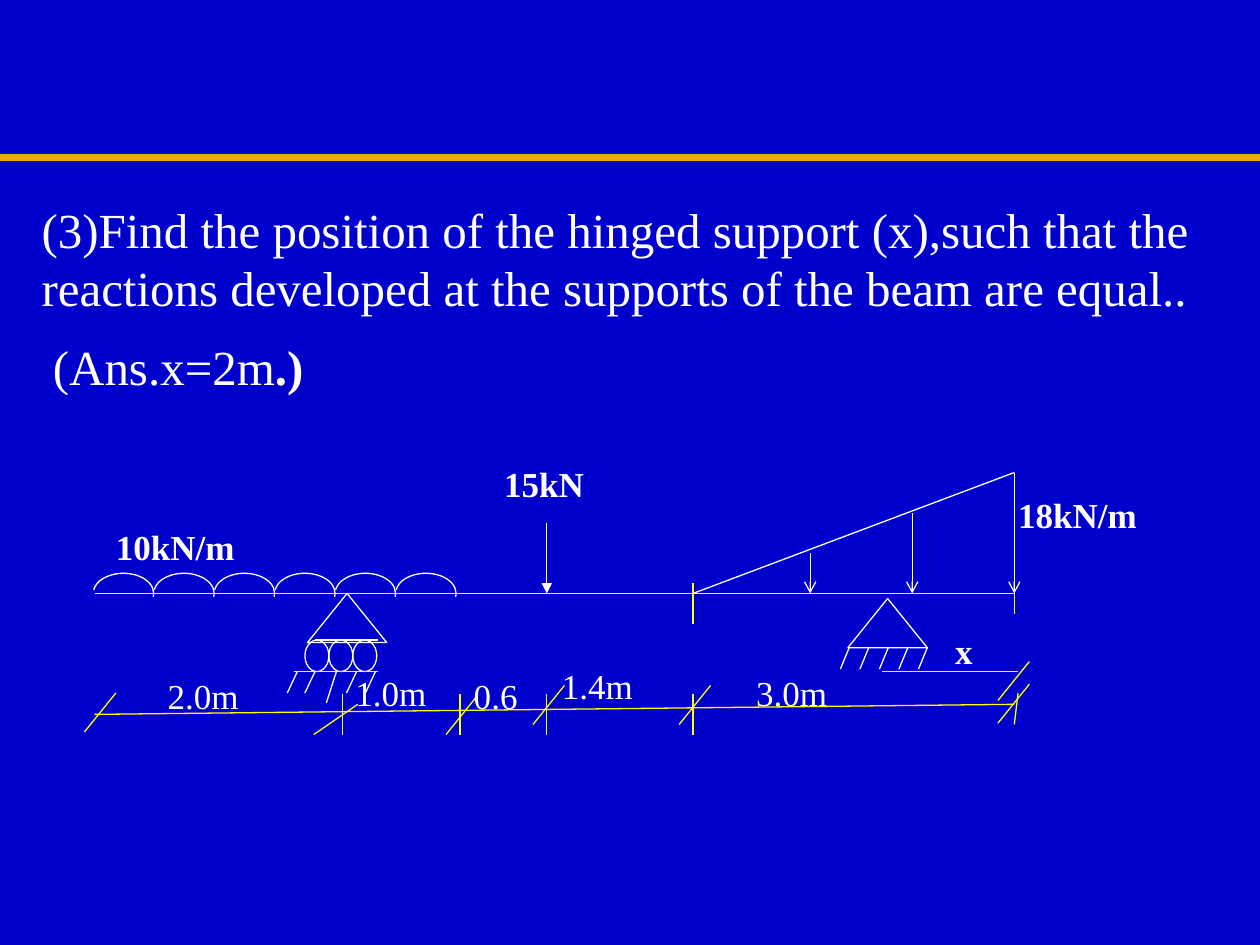
import pptx
import pptx.util
import pptx.dml.color
import pptx.enum.shapes
import pptx.enum.text
import pptx.oxml.ns
import lxml.etree

Inches, Pt = pptx.util.Inches, pptx.util.Pt
Shape = pptx.enum.shapes.MSO_SHAPE
THEME = {
    "font": "Times New Roman",
    "background": pptx.dml.color.RGBColor.from_string("0000CC"),
    "white": pptx.dml.color.RGBColor.from_string("FFFFFF"),
    "yellow": pptx.dml.color.RGBColor.from_string("FFFF00"),
    "gold": pptx.dml.color.RGBColor.from_string("E8AB00"),
    "statement": 28,
    "label": 20,
    "thin": 0.75,
    "rule": 4.5,
}

presentation = pptx.Presentation()
presentation.slide_width, presentation.slide_height = Inches(10), Inches(7.5)
slide = presentation.slides.add_slide(presentation.slide_layouts[5])  # Title Only
slide.background.fill.solid()
slide.background.fill.fore_color.rgb = THEME["background"]


def add_line(start, end, color="yellow", width="thin", arrow=None):
    line = slide.shapes.add_connector(
        pptx.enum.shapes.MSO_CONNECTOR.STRAIGHT, *map(Inches, start + end))
    line.line.color.rgb = THEME[color]
    line.line.width = Pt(THEME[width])
    properties = line.element.spPr
    if arrow:
        outline = properties.find(pptx.oxml.ns.qn("a:ln"))
        lxml.etree.SubElement(outline, pptx.oxml.ns.qn("a:tailEnd"), type=arrow)
    lxml.etree.SubElement(properties, pptx.oxml.ns.qn("a:effectLst"))


def write_text(shape, box, runs, size):
    shape.left, shape.top, shape.width, shape.height = map(Inches, box)
    frame_format = {
        "margin_left": 0, "margin_top": 0, "margin_right": 0, "margin_bottom": 0,
        "word_wrap": True,
        "auto_size": pptx.enum.text.MSO_AUTO_SIZE.NONE,
        "vertical_anchor": pptx.enum.text.MSO_ANCHOR.TOP,
    }
    for name, value in frame_format.items():
        setattr(shape.text_frame, name, value)
    paragraph = shape.text_frame.paragraphs[0]
    paragraph.alignment = pptx.enum.text.PP_ALIGN.LEFT
    paragraph.line_spacing = Pt(THEME[size] * 1.2)
    for text, bold in runs:
        run = paragraph.add_run()
        run.text = text
        run_format = {"name": THEME["font"], "size": Pt(THEME[size]), "bold": bold}
        for name, value in run_format.items():
            setattr(run.font, name, value)
        run.font.color.rgb = THEME["white"]


# Header rule, problem statement and answer
add_line((0, 1.25), (10.03, 1.25), "gold", "rule")
statement = ("(3)Find the position of the hinged support (x),such that the "
             "reactions developed at the supports of the beam are equal..")
write_text(slide.shapes.title, (0.33, 1.58, 9.17, 0.93), [(statement, False)], "statement")
answer = slide.shapes.add_textbox(0, 0, 0, 0)
write_text(answer, (0.42, 2.67, 2.58, 0.47), [("(Ans.x=2m", False), (".)", True)], "statement")

# Beam and its end marks
beam_left, beam_right, beam_y = 0.75, 8.05, 4.71
load_start, load_top = 5.5, 3.75
add_line((beam_left, beam_y), (beam_right, beam_y))
for x, top in ((load_start, 4.63), (beam_right, 4.55)):
    add_line((x, top), (x, top + 0.32))

# Outlined shapes: distributed load arcs, support triangles, rollers
arc_pitch, arc_height = 0.48, 0.32
outlines = [(Shape.ARC, (0.74 + i * arc_pitch, beam_y - arc_height / 2, 0.48, arc_height))
            for i in range(6)]
outlines += [(Shape.ISOSCELES_TRIANGLE, (x, y, 0.63, 0.39))
             for x, y in ((2.44, beam_y), (6.73, 4.75))]
outlines += [(Shape.OVAL, (2.42 + i * 0.19, 5.08, 0.19, 0.25)) for i in range(3)]
for kind, box in outlines:
    shape = slide.shapes.add_shape(kind, *map(Inches, box))
    shape.shadow.inherit = False
    shape.fill.background()
    shape.line.color.rgb = THEME["white"]
    shape.line.width = Pt(THEME["thin"])
    if kind == Shape.ARC:
        # Half an ellipse, tilted by 6.8 degrees; 0.6 adjustment units per degree
        shape.adjustments[0] = 186.8 * 0.6
        shape.adjustments[1] = 6.8 * 0.6

# Point load and triangular load
add_line((4.34, 4.15), (4.34, beam_y), "white", arrow="triangle")
add_line((beam_right, load_top), (load_start, beam_y), "white")
for x, top in ((6.43, 4.39), (7.24, 4.07), (beam_right, load_top)):
    add_line((x, top), (x, beam_y), "white", arrow="arrow")

# Roller base and ground hatching
add_line((2.5, 5.08), (3, 5.08), "white")
add_line((2.33, 5.33), (3, 5.33))
for x, length in ((2.36, 0.17), (2.5, 0.17), (2.67, 0.25), (2.83, 0.17), (2.98, 0.17)):
    add_line((x, 5.33), (x - 0.08, 5.33 + length), "white")
for i in range(5):
    x = 6.74 + i * 0.155
    add_line((x, 5.14), (x - 0.07, 5.31), "white")

# Dimension lines, ticks and slashes
add_line((beam_left, 5.67), (beam_right, 5.59))
add_line((7, 5.33), (8.08, 5.33))
for x in (2.72, 3.65, 4.34, load_start):
    add_line((x, 5.51), (x, 5.83))
add_line((8.08, 5.5), (beam_right, 5.75))
add_line((2.84, 5.59), (2.49, 5.83))
for x, y in ((0.92, 5.5), (3.79, 5.52), (4.48, 5.44), (5.64, 5.44), (8.17, 5.43), (8.17, 5.25)):
    add_line((x, y), (x - 0.25, y + 0.31))

# Load and dimension labels
labels = [
    ("10kN/m", 0.92, 4.17, 1.17, True),
    ("15kN", 4, 3.67, 0.92, True),
    ("18kN/m", 8.08, 3.92, 1.25, True),
    ("x", 7.58, 5, 0.17, True),
    ("2.0m", 1.33, 5.35, 0.85, False),
    ("1.0m", 2.82, 5.33, 1.18, False),
    ("0.6", 3.76, 5.35, 0.58, False),
    ("1.4m", 4.46, 5.27, 1.18, False),
    ("3.0m", 6, 5.33, 1.18, False),
]
for text, left, top, width, bold in labels:
    label = slide.shapes.add_textbox(0, 0, 0, 0)
    write_text(label, (left, top, width, 0.33), [(text, bold)], "label")

presentation.save("out.pptx")
